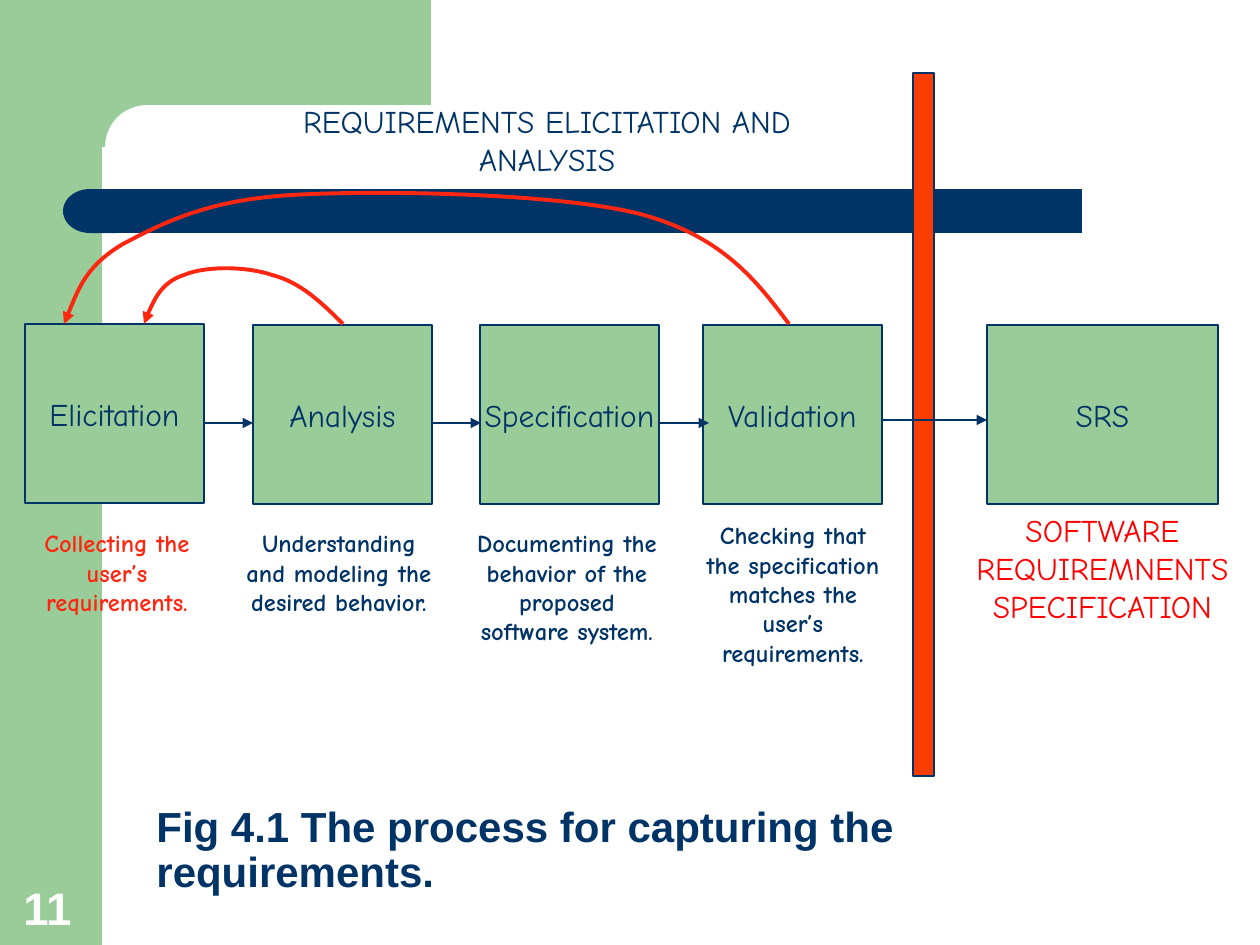
from pptx import Presentation
from pptx.dml.color import RGBColor
from pptx.enum.shapes import MSO_CONNECTOR, MSO_SHAPE
from pptx.enum.text import MSO_ANCHOR, PP_ALIGN
from pptx.oxml.ns import qn
from pptx.util import Emu, Pt
from lxml.etree import SubElement

PX = 914400 // 126
GREEN = RGBColor(0x99, 0xCC, 0x99)
NAVY = RGBColor(0x00, 0x33, 0x66)
ORANGE = RGBColor(0xFA, 0x3D, 0x02)
SCARLET = RGBColor(0xFD, 0x27, 0x11)
RED = RGBColor(0xFF, 0x00, 0x00)
WHITE = RGBColor(0xFF, 0xFF, 0xFF)
BODY, HEADING = "Comic Neue", "Arial"

# Content: label, box (left, top, width)
BOX_HEIGHT = 179
STAGES = [
    ("Elicitation", (25, 324, 179)),
    ("Analysis", (253, 325, 179)),
    ("Specification", (480, 325, 179)),
    ("Validation", (703, 325, 179)),
    ("SRS", (987, 325, 231)),
]
# Text, box (left, top, width, height), size, bold, colour
CAPTIONS = [
    ("Collecting the user’s requirements.", (25, 522, 184, 101), 14, True, SCARLET),
    ("Understanding and modeling the desired behavior.", (233, 522, 212, 130), 14, True, NAVY),
    ("Documenting the behavior of the proposed software system.", (461, 522, 212, 159), 14, True, NAVY),
    ("Checking that the specification matches the user’s requirements.", (689, 514, 208, 189), 14, True, NAVY),
    ("REQUIREMENTS ELICITATION AND ANALYSIS", (253, 96, 588, 88), 18, False, NAVY),
    ("SOFTWARE REQUIREMNENTS SPECIFICATION", (945, 505, 315, 126), 18, False, RED),
]
TITLE = "Fig 4.1 The process for capturing the requirements."
PAGE_NUMBER = "11"
# Arrows between stages: start x, end x, y
ARROWS = [(203, 253, 423), (432, 481, 423), (660, 709, 423), (882, 987, 420)]
# Feedback curves: start point, then three control points per cubic segment
FEEDBACK = [
    [(343, 324), (321, 302), (300, 282), (272, 275), (246, 266), (205, 266),
     (184, 275), (163, 282), (152, 302), (144, 324)],
    [(789, 324), (756, 280), (722, 236), (640, 214), (557, 193), (379, 190),
     (292, 195), (207, 200), (163, 223), (123, 244), (86, 266), (76, 295), (64, 324)],
]

presentation = Presentation()
presentation.slide_width, presentation.slide_height = Emu(1260 * PX), Emu(945 * PX)
slide = presentation.slides.add_slide(presentation.slide_layouts[6])


def scaled(*lengths):
    return [Emu(length * PX) for length in lengths]


def add_box(kind, place, fill, outlined=False):
    shape = slide.shapes.add_shape(kind, *scaled(*place))
    shape.shadow.inherit = False
    shape.fill.solid()
    shape.fill.fore_color.rgb = fill
    if outlined:
        shape.line.color.rgb = NAVY
        shape.line.width = Pt(1)
    else:
        shape.line.fill.background()
    return shape


def write(shape, text, size, color, font=BODY, bold=False, align=PP_ALIGN.CENTER,
          anchor=MSO_ANCHOR.TOP, wrap=True):
    frame = shape.text_frame
    frame.word_wrap = wrap
    frame.vertical_anchor = anchor
    paragraph = frame.paragraphs[0]
    paragraph.text = text
    paragraph.alignment = align
    paragraph.font.name = font
    paragraph.font.size = Pt(size)
    paragraph.font.bold = bold
    paragraph.font.color.rgb = color
    return paragraph


def add_text(place, *args, **options):
    return write(slide.shapes.add_textbox(*scaled(*place)), *args, **options)


def style_arrow(shape, color, width):
    shape.line.color.rgb = color
    shape.line.width = Pt(width)
    SubElement(shape.line._get_or_add_ln(), qn("a:tailEnd"), type="triangle")


# Background frame and navy band
add_box(MSO_SHAPE.RECTANGLE, (0, 0, 102, 945), GREEN)
add_box(MSO_SHAPE.RECTANGLE, (92, 0, 339, 147), GREEN)
corner = add_box(MSO_SHAPE.ROUNDED_RECTANGLE, (105, 105, 703, 84), WHITE)
corner.adjustments[0] = 0.5
add_box(MSO_SHAPE.RECTANGLE, (116, 189, 966, 44), NAVY)
band_end = add_box(MSO_SHAPE.FLOWCHART_DELAY, (63, 189, 54, 44), NAVY)
band_end.rotation = 180

# Page number and title
add_text((11, 874, 81, 67), PAGE_NUMBER, 26, WHITE, font=HEADING, bold=True,
         align=PP_ALIGN.LEFT, anchor=MSO_ANCHOR.BOTTOM)
title = add_text((144, 819, 1040, 84), TITLE, 24, NAVY, font=HEADING, bold=True,
                 align=PP_ALIGN.LEFT, anchor=MSO_ANCHOR.BOTTOM)
title.line_spacing = 0.9

# Stages and the divider before the SRS
for label, place in STAGES:
    stage = add_box(MSO_SHAPE.RECTANGLE, (*place, BOX_HEIGHT), GREEN, outlined=True)
    write(stage, label, 18, NAVY, anchor=MSO_ANCHOR.MIDDLE, wrap=False)
add_box(MSO_SHAPE.RECTANGLE, (913, 73, 21, 703), ORANGE, outlined=True)

# Captions
for text, place, size, bold, color in CAPTIONS:
    add_text(place, text, size, color, bold=bold)

# Straight arrows
for start, end, y in ARROWS:
    arrow = slide.shapes.add_connector(MSO_CONNECTOR.STRAIGHT, *scaled(start, y, end, y))
    style_arrow(arrow, NAVY, 1)
    SubElement(arrow._element.spPr, qn("a:effectLst"))

# Feedback curves: each three line points become one cubic segment
for start, *controls in FEEDBACK:
    builder = slide.shapes.build_freeform(*start, scale=PX)
    builder.add_line_segments(controls, close=False)
    curve = builder.convert_to_shape()
    curve.shadow.inherit = False
    curve.fill.background()
    style_arrow(curve, SCARLET, 2.25)
    lines = list(curve._element.iter(qn("a:lnTo")))
    for first in range(0, len(lines), 3):
        segment = lines[first]
        segment.tag = qn("a:cubicBezTo")
        for extra in lines[first + 1:first + 3]:
            segment.append(extra[0])
            extra.getparent().remove(extra)

presentation.save("out.pptx")
